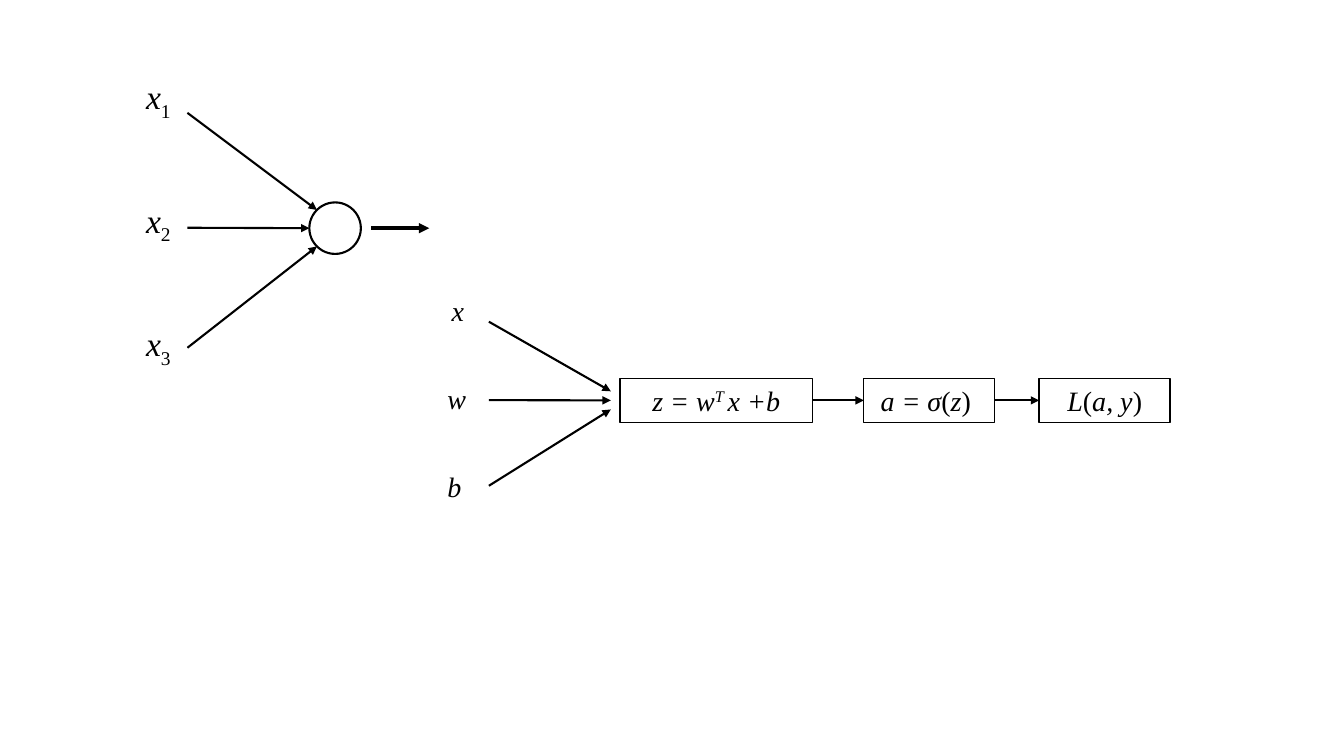
from math import sqrt

from lxml.etree import SubElement
from pptx import Presentation
from pptx.dml.color import RGBColor
from pptx.enum.shapes import MSO_CONNECTOR, MSO_SHAPE
from pptx.enum.text import MSO_ANCHOR, PP_ALIGN
from pptx.oxml.ns import qn
from pptx.util import Pt

COLORS = {"ink": "000000"}
FONT = "Times New Roman"
INK = RGBColor.from_string(COLORS["ink"])


def write_runs(sp, runs, size, align=PP_ALIGN.LEFT):
    """Write (text, italic, baseline) runs as one formatted paragraph."""
    tf = sp.text_frame
    tf.word_wrap = True
    tf.vertical_anchor = MSO_ANCHOR.TOP
    p = tf.paragraphs[0]
    p.alignment = align
    p.font.name = FONT
    p.font.size = Pt(size)
    p.font.color.rgb = INK
    for text, italic, baseline in runs:
        r = p.add_run()
        r.text = text
        r.font.italic = italic
        if baseline:
            r.font._element.set("baseline", str(baseline * 1000))


def add_label(s, left, top, width, height, runs, size):
    """Add a text box holding a variable name."""
    sp = s.shapes.add_textbox(Pt(left), Pt(top), Pt(width), Pt(height))
    write_runs(sp, runs, size)


def add_outline(s, kind, left, top, width, height, weight):
    """Add an unfilled shape with a dark outline."""
    sp = s.shapes.add_shape(kind, Pt(left), Pt(top), Pt(width), Pt(height))
    sp.shadow.inherit = False
    sp.fill.background()
    sp.line.color.rgb = INK
    sp.line.width = Pt(weight)
    return sp


def add_arrow(s, x1, y1, x2, y2, weight=1.5):
    """Add a straight arrow pointing at its second end."""
    line = s.shapes.add_connector(
        MSO_CONNECTOR.STRAIGHT, Pt(x1), Pt(y1), Pt(x2), Pt(y2))
    line.line.color.rgb = INK
    line.line.width = Pt(weight)
    SubElement(line.line._get_or_add_ln(), qn("a:tailEnd"), type="triangle")
    SubElement(line._element.spPr, qn("a:effectLst"))


def add_neuron(s, left, top):
    """Draw three inputs feeding one neuron with an output arrow."""
    radius = 18.4
    cx, cy = left + 142.2, top + 112
    diagonal = radius / sqrt(2)
    add_outline(s, MSO_SHAPE.OVAL, cx - radius, cy - radius,
                2 * radius, 2 * radius, 1.5)
    add_arrow(s, left + 168, cy, left + 209.5, cy, 2.5)
    inputs = [(29.6, -diagonal, -diagonal),
              (111.7, -radius, 0),
              (197.4, -diagonal, diagonal)]
    for i, (start, dx, dy) in enumerate(inputs):
        add_arrow(s, left + 36.7, top + start, cx + dx, cy + dy)
        add_label(s, left, top + i * 88.2, 36.7, 36,
                  [("x", True, 0), (str(i + 1), False, -25)], 24)


def add_computation_graph(s, left, top):
    """Draw the parameters flowing through the chain of formula boxes."""
    mid = top + 80
    inputs = [("x", 3, 36.7, 23.8), ("w", 0, 36.7, 79.8), ("b", 0, 36.7, 141)]
    for i, (name, indent, width, start) in enumerate(inputs):
        add_label(s, left + indent, top + i * 63, width, 31.6,
                  [(name, True, 0)], 20)
        add_arrow(s, left + 36.7, top + start,
                  left + 123.8, mid + (i - 1) * 6.5)

    formulas = [
        (130.3, 137.5, [("z = w", True, 0), ("T ", True, 30),
                        ("x +b", True, 0)]),
        (304.5, 93.6, [("a = σ", True, 0), ("(", False, 0),
                       ("z", True, 0), (") ", False, 0)]),
        (429.8, 93.6, [("L", True, 0), ("(", False, 0),
                       ("a, y", True, 0), (")", False, 0)]),
    ]
    previous_end = None
    for x, width, runs in formulas:
        if previous_end is not None:
            add_arrow(s, previous_end, mid, left + x, mid)
        sp = add_outline(s, MSO_SHAPE.RECTANGLE, left + x, mid - 15.8,
                         width, 31.6, 1)
        write_runs(sp, runs, 20, PP_ALIGN.CENTER)
        previous_end = left + x + width


def main():
    """Build and save the slide."""
    prs = Presentation()
    prs.slide_width, prs.slide_height = Pt(960), Pt(540)
    s = prs.slides.add_slide(prs.slide_layouts[6])
    add_neuron(s, 97.2, 51)
    add_computation_graph(s, 312.5, 206)
    prs.save("out.pptx")


if __name__ == "__main__":
    main()
